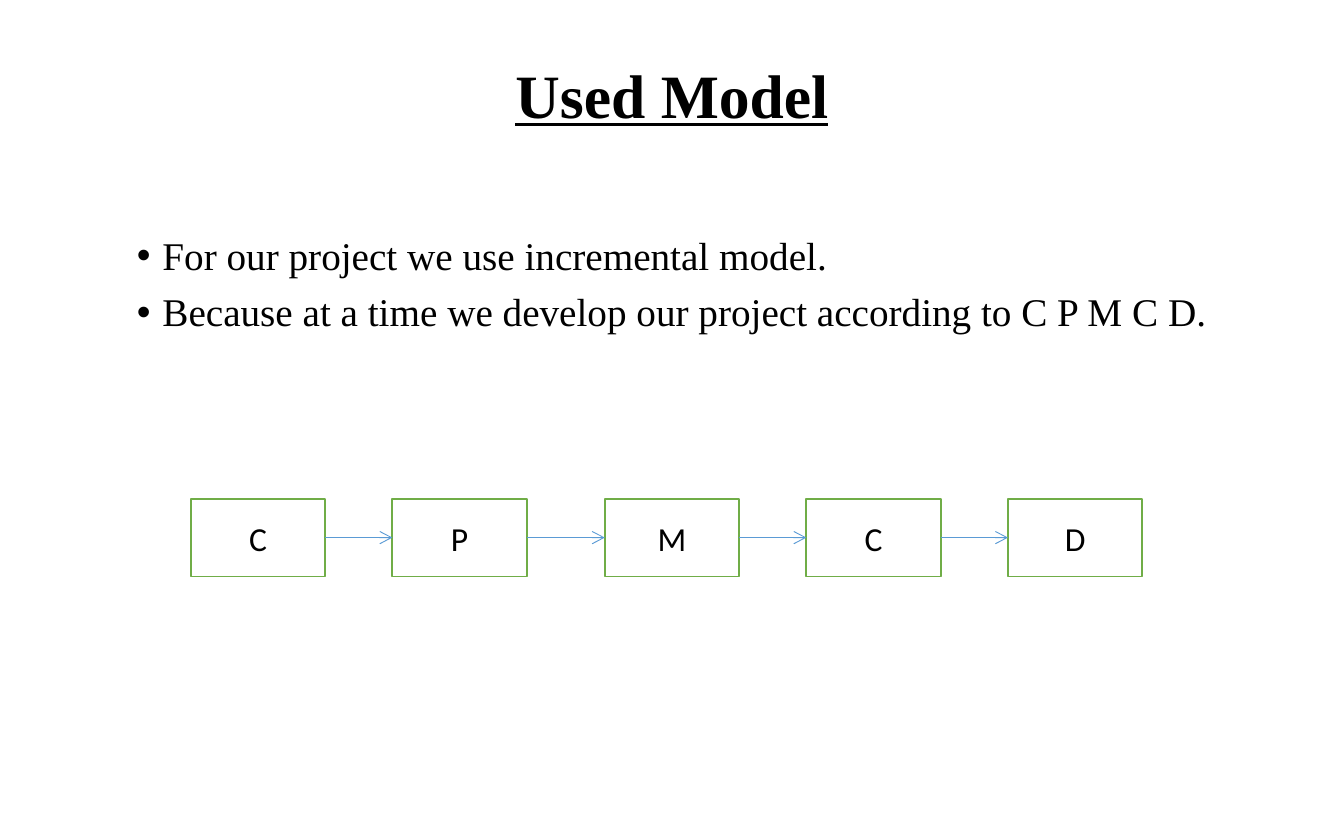
import pptx
import pptx.dml.color
import pptx.enum.shapes
import pptx.enum.text
import pptx.util
from lxml import etree
from pptx.oxml.ns import qn
from pptx.util import Inches

BLACK = pptx.dml.color.RGBColor(0x00, 0x00, 0x00)
WHITE = pptx.dml.color.RGBColor(0xFF, 0xFF, 0xFF)
GREEN = pptx.dml.color.RGBColor(0x70, 0xAD, 0x47)
BLUE = pptx.dml.color.RGBColor(0x5B, 0x9B, 0xD5)

CENTER = pptx.enum.text.PP_ALIGN.CENTER
MIDDLE = pptx.enum.text.MSO_ANCHOR.MIDDLE
TITLE_FONT = {"name": "Times New Roman", "size": pptx.util.Pt(33), "bold": True, "underline": True}
POINT_FONT = {"name": "Times New Roman", "size": pptx.util.Pt(21)}
PHASE_FONT = {"name": "Calibri", "size": pptx.util.Pt(18)}


def write(paragraph, text, font_format):
    run = paragraph.add_run()
    run.text = text
    run.font.color.rgb = BLACK
    for attribute, value in font_format.items():
        setattr(run.font, attribute, value)


deck = pptx.Presentation()
deck.slide_width, deck.slide_height = Inches(10), Inches(6.25)
slide = deck.slides.add_slide(deck.slide_layouts[5])

# Title
title = slide.shapes.title
title.left, title.top, title.width, title.height = map(Inches, (0.5, 0.21, 9, 1.04))
title.text_frame.vertical_anchor = MIDDLE
heading = title.text_frame.paragraphs[0]
heading.alignment, heading.line_spacing = CENTER, 0.9
write(heading, "Used Model", TITLE_FONT)

# Bulleted reasons
reasons = slide.shapes.add_textbox(*map(Inches, (0.92, 1.71, 8.42, 3.25))).text_frame
reasons.word_wrap = True
points = [
    "For our project we use incremental model.",
    "Because at a time we develop our project according to C P M C D.",
]
for index, text in enumerate(points):
    point = reasons.add_paragraph() if index else reasons.paragraphs[0]
    point.line_spacing, point.space_before = 0.9, pptx.util.Pt(7.5)
    write(point, text, POINT_FONT)
    properties = point._p.get_or_add_pPr()
    properties.set("marL", str(Inches(0.19)))
    properties.set("indent", str(-Inches(0.19)))
    etree.SubElement(properties, qn("a:buFont"), typeface="Arial")
    etree.SubElement(properties, qn("a:buChar"), char="•")

# Phase boxes
PHASE_TOP, PHASE_WIDTH, PHASE_HEIGHT, ARROW_Y = 3.71, 1, 0.58, 4
phases = [("C", 1.42), ("P", 2.92), ("M", 4.5), ("C", 6), ("D", 7.5)]
boxes = []
for letter, left in phases:
    box = slide.shapes.add_shape(
        pptx.enum.shapes.MSO_SHAPE.RECTANGLE,
        Inches(left), Inches(PHASE_TOP), Inches(PHASE_WIDTH), Inches(PHASE_HEIGHT),
    )
    box.shadow.inherit = False
    box.fill.solid()
    box.fill.fore_color.rgb = WHITE
    box.line.color.rgb = GREEN
    box.line.width = pptx.util.Pt(1)
    box.text_frame.vertical_anchor = MIDDLE
    label = box.text_frame.paragraphs[0]
    label.alignment = CENTER
    write(label, letter, PHASE_FONT)
    boxes.append(box)

# Arrows from each phase to the next
for earlier, later in zip(boxes, boxes[1:]):
    arrow = slide.shapes.add_connector(
        pptx.enum.shapes.MSO_CONNECTOR.STRAIGHT,
        earlier.left + earlier.width, Inches(ARROW_Y), later.left, Inches(ARROW_Y),
    )
    arrow.line.color.rgb = BLUE
    arrow.line.width = pptx.util.Pt(0.5)
    etree.SubElement(arrow.line._get_or_add_ln(), qn("a:tailEnd"), type="arrow")
    etree.SubElement(arrow._element.spPr, qn("a:effectLst"))

deck.save("out.pptx")
